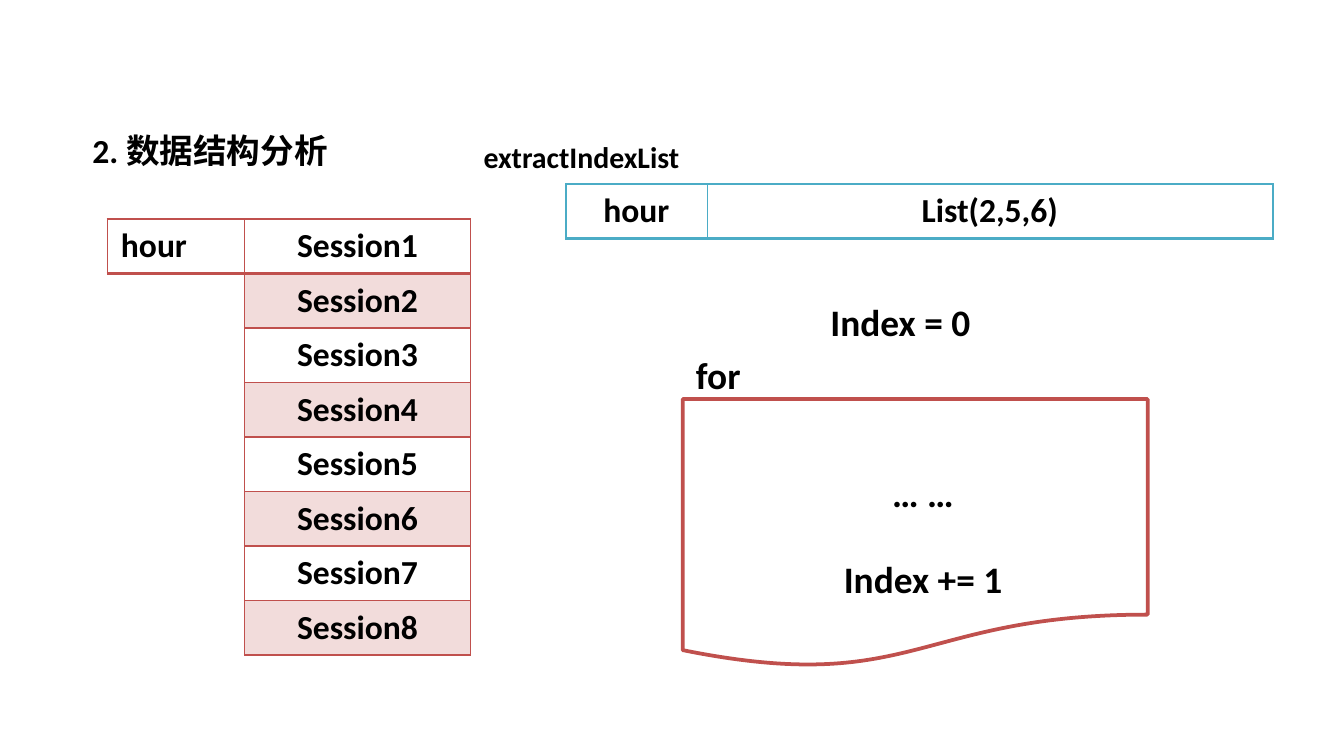
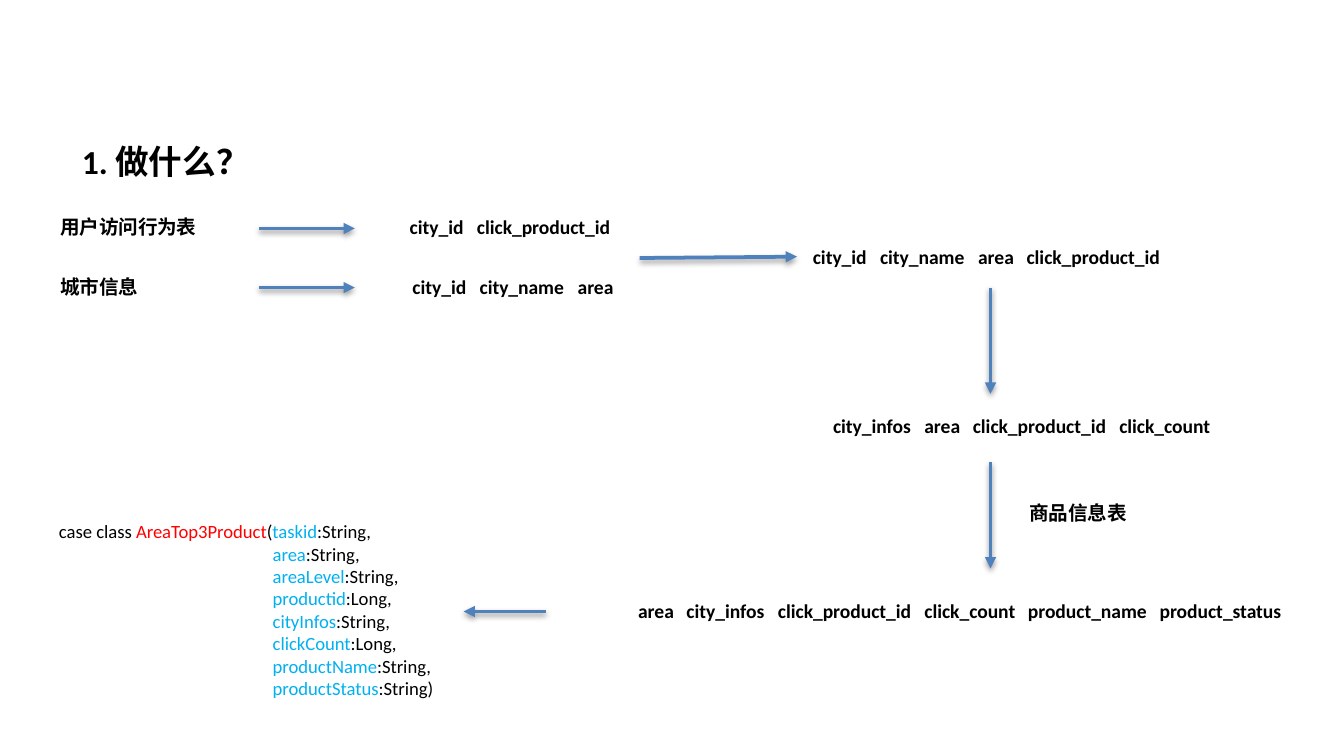
from itertools import accumulate

from lxml.etree import SubElement
from pptx import Presentation
from pptx.dml.color import RGBColor
from pptx.enum.shapes import MSO_CONNECTOR as Connector, MSO_SHAPE as Shape
from pptx.enum.text import MSO_AUTO_SIZE as AutoSize, PP_ALIGN as Align
from pptx.oxml.ns import qn
from pptx.util import Inches, Pt

FONT = "Calibri"
BLACK, WHITE = "000000", "FFFFFF"
RED, TEAL, BLUE = "C0504D", "4BACC6", "4F81BD"
CLASS_RED, FIELD_BLUE = "FF0000", "00B0F0"

TITLE_SIZE, CODE_SIZE, FLOW_SIZE = 18, 20, 10.5
ROW_HEIGHT = Pt(29.2)

# Distance from the start of each field to the start of the next one.
FIELD_PITCH = {
    "city_id": 0.5, "city_name": 0.73, "area": 0.36, "city_infos": 0.68,
    "click_product_id": 1.09, "click_count": 0.77, "product_name": 0.98,
}
CLASS_FIELDS = [
    ("taskid", "String"), ("area", "String"), ("areaLevel", "String"),
    ("productid", "Long"), ("cityInfos", "String"), ("clickCount", "Long"),
    ("productName", "String"), ("productStatus", "String"),
]


def color(value):
    return RGBColor.from_string(value)


def set_font(paragraph, size, bold=True):
    font = paragraph.font
    font.name, font.size, font.bold = FONT, Pt(size), bold
    font.color.rgb = color(BLACK)


def add_box(page, left, top, width, height):
    box = page.shapes.add_textbox(*map(Inches, (left, top, width, height)))
    box.text_frame.word_wrap = True
    box.text_frame.auto_size = AutoSize.SHAPE_TO_FIT_TEXT
    return box.text_frame


def add_label(page, text, left, top, width, height, size=FLOW_SIZE):
    para = add_box(page, left, top, width, height).paragraphs[0]
    para.text = text
    set_font(para, size)


def add_fields(page, names, left, top, width):
    """Write field names on one line, each at its own tab stop."""
    para = add_box(page, left, top, width, 0.28).paragraphs[0]
    fields = names.split()
    tabs = SubElement(para._p.get_or_add_pPr(), qn("a:tabLst"))
    for stop in accumulate(FIELD_PITCH[field] for field in fields[:-1]):
        SubElement(tabs, qn("a:tab"), pos=str(Inches(stop)), algn="l")
    para.add_run().text = "\t".join(fields)
    set_font(para, FLOW_SIZE)


def set_borders(cell, line_color, **widths):
    """Draw cell borders; widths in points are keyed L, R, T and B."""
    properties = cell._tc.get_or_add_tcPr()
    for side in "LRTB":
        line = SubElement(properties, qn(f"a:ln{side}"), w=str(Pt(widths[side])))
        fill = SubElement(line, qn("a:solidFill"))
        SubElement(fill, qn("a:srgbClr"), val=line_color)


def tint(cell, fill_color, percent):
    cell.fill.solid()
    cell.fill.fore_color.rgb = color(fill_color)
    value = cell._tc.tcPr.find(f"{qn('a:solidFill')}/{qn('a:srgbClr')}")
    SubElement(value, qn("a:alpha"), val=str(percent * 1000))


def add_grid(page, rows, left, top, widths, line_color, align=Align.CENTER):
    """Add a table with a heavy line under row one and tinted even rows."""
    frame = page.shapes.add_table(
        len(rows), len(widths), Inches(left), Inches(top),
        Inches(sum(widths)), ROW_HEIGHT * len(rows))
    table = frame.table
    table.first_row = table.horz_banding = False
    for column, width in zip(table.columns, widths):
        column.width = Inches(width)
    for r, texts in enumerate(rows):
        table.rows[r].height = ROW_HEIGHT
        for c, text in enumerate(texts):
            cell = table.cell(r, c)
            set_borders(cell, line_color,
                        L=0.5 if c else 1,
                        R=0.5 if c < len(widths) - 1 else 1,
                        T=2 if r == 1 else 1,
                        B=2 if r == 0 else 1)
            if r % 2:
                tint(cell, line_color, 20)
            else:
                cell.fill.background()
            para = cell.text_frame.paragraphs[0]
            para.text = text
            para.alignment = align
            set_font(para, TITLE_SIZE)


def add_arrow(page, x1, y1, x2, y2):
    arrow = page.shapes.add_connector(
        Connector.STRAIGHT, *map(Inches, (x1, y1, x2, y2)))
    arrow.line.color.rgb = color(BLUE)
    arrow.line.width = Pt(2)
    SubElement(arrow.line._get_or_add_ln(), qn("a:tailEnd"), type="triangle")
    effects = SubElement(arrow._element.spPr, qn("a:effectLst"))
    shadow = SubElement(effects, qn("a:outerShdw"), blurRad=str(Pt(3.1)),
                        dist=str(Pt(1.6)), dir="5400000", rotWithShape="0")
    shade = SubElement(shadow, qn("a:srgbClr"), val=BLACK)
    SubElement(shade, qn("a:alpha"), val="38000")


def add_document(page, left, top, width, height):
    shape = page.shapes.add_shape(
        Shape.FLOWCHART_DOCUMENT, *map(Inches, (left, top, width, height)))
    shape.shadow.inherit = False
    shape.fill.solid()
    shape.fill.fore_color.rgb = color(WHITE)
    shape.line.color.rgb = color(RED)
    shape.line.width = Pt(2)


def add_case_class(page, left, top, width, height):
    frame = add_box(page, left, top, width, height)
    last = len(CLASS_FIELDS) - 1
    for number, (name, kind) in enumerate(CLASS_FIELDS):
        para = frame.add_paragraph() if number else frame.paragraphs[0]
        ending = ")" if number == last else ","
        spans = [(name, FIELD_BLUE), (f":{kind}{ending}", BLACK)]
        if number:
            properties = para._p.get_or_add_pPr()
            properties.set("marL", str(Inches(1.59)))
            properties.set("indent", "0")
        else:
            spans = [("case class ", BLACK), ("AreaTop3Product", CLASS_RED),
                     ("(", BLACK)] + spans
        set_font(para, 10, bold=False)
        for text, span_color in spans:
            span = para.add_run()
            span.text = text
            span.font.color.rgb = color(span_color)


def build_structure(page):
    add_label(page, "2. 数据结构分析", 0.59, 0.92, 2.44, 0.4, TITLE_SIZE)
    sessions = [[f"Session{number}"] for number in range(1, 9)]
    add_grid(page, sessions, 1.82, 1.63, [1.68], RED)
    add_document(page, 5.08, 2.97, 3.46, 2)
    for text, left, top, width in [
        ("for", 5.08, 2.57, 0.55),
        ("Index = 0", 6.08, 2.18, 1.42),
        ("Index += 1", 6.18, 4.09, 1.42),
        ("… …", 6.54, 3.45, 0.69),
    ]:
        add_label(page, text, left, top, width, 0.44, CODE_SIZE)
    add_grid(page, [["hour", "List(2,5,6)"]], 4.21, 1.37, [1.05, 4.21], TEAL)
    add_label(page, "extractIndexList", 3.5, 0.98, 2.17, 0.37, 16)
    add_grid(page, [["hour"]], 0.8, 1.63, [1.02], RED, Align.LEFT)


def build_flow(page):
    add_label(page, "1. 做什么？", 0.51, 1, 1.42, 0.4, TITLE_SIZE)
    add_label(page, "用户访问行为表", 0.35, 1.55, 1.34, 0.29)
    add_label(page, "城市信息", 0.35, 2, 0.87, 0.28)
    for names, left, top, width in [
        ("city_id click_product_id", 2.95, 1.55, 1.81),
        ("city_id city_name area", 2.97, 2, 1.81),
        ("city_id city_name area click_product_id", 5.95, 1.77, 2.83),
        ("city_infos area click_product_id click_count", 6.1, 3.03, 3.07),
        ("area city_infos click_product_id click_count product_name product_status",
         4.65, 4.41, 5.04),
    ]:
        add_fields(page, names, left, top, width)
    for ends in [
        (1.93, 1.7, 2.64, 1.7),
        (1.93, 2.14, 2.64, 2.14),
        (4.76, 1.92, 5.93, 1.91),
        (7.37, 2.14, 7.37, 2.93),
        (7.37, 3.44, 7.37, 4.23),
        (4.06, 4.55, 3.45, 4.55),
    ]:
        add_arrow(page, *ends)
    add_case_class(page, 0.34, 3.82, 3.11, 1.45)
    add_label(page, "商品信息表", 7.56, 3.68, 0.96, 0.29)


def main():
    deck = Presentation()
    deck.slide_width = Inches(10)
    deck.slide_height = deck.slide_width * 9 // 16
    for build in (build_structure, build_flow):
        build(deck.slides.add_slide(deck.slide_layouts[6]))
    deck.save("out.pptx")


if __name__ == "__main__":
    main()
